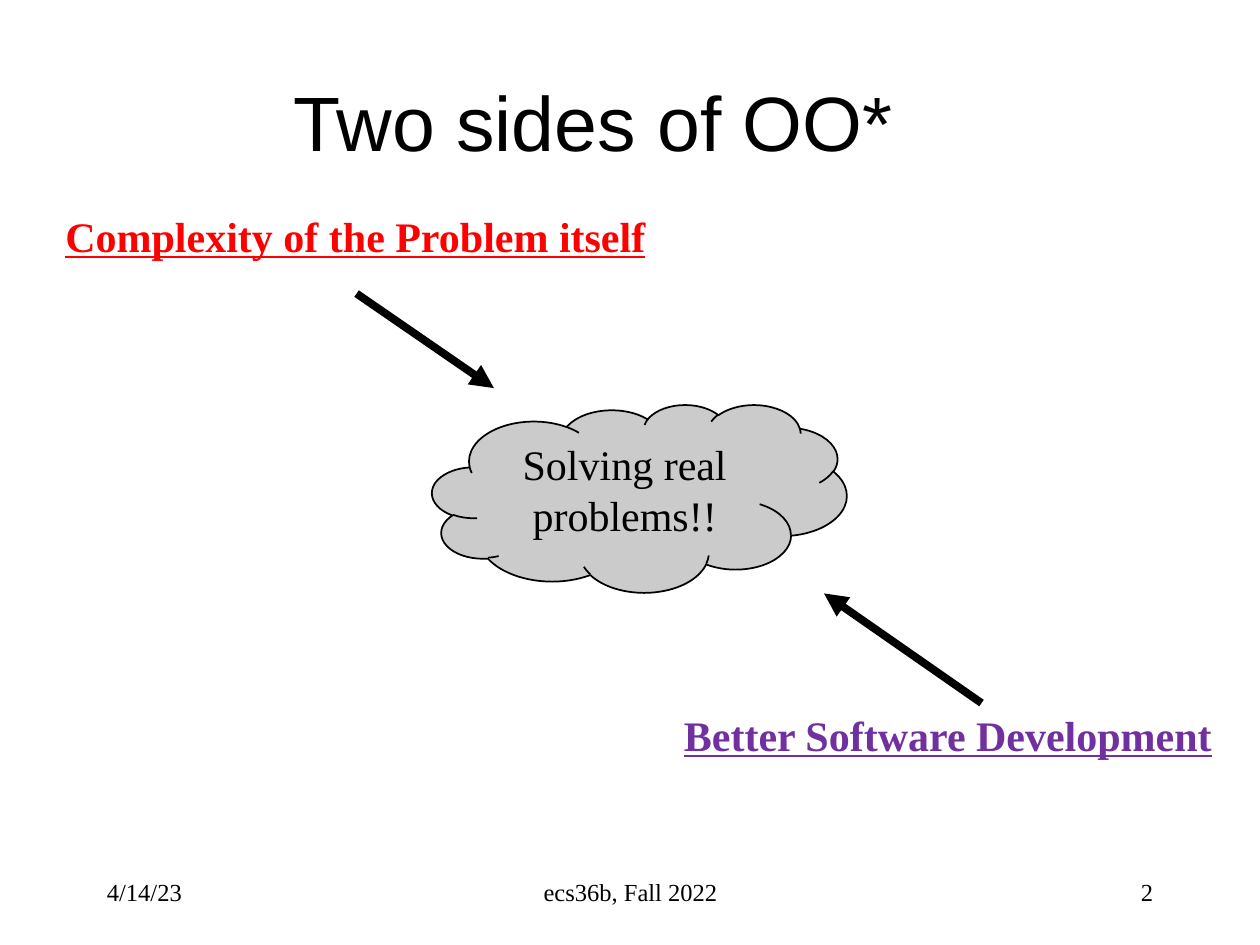
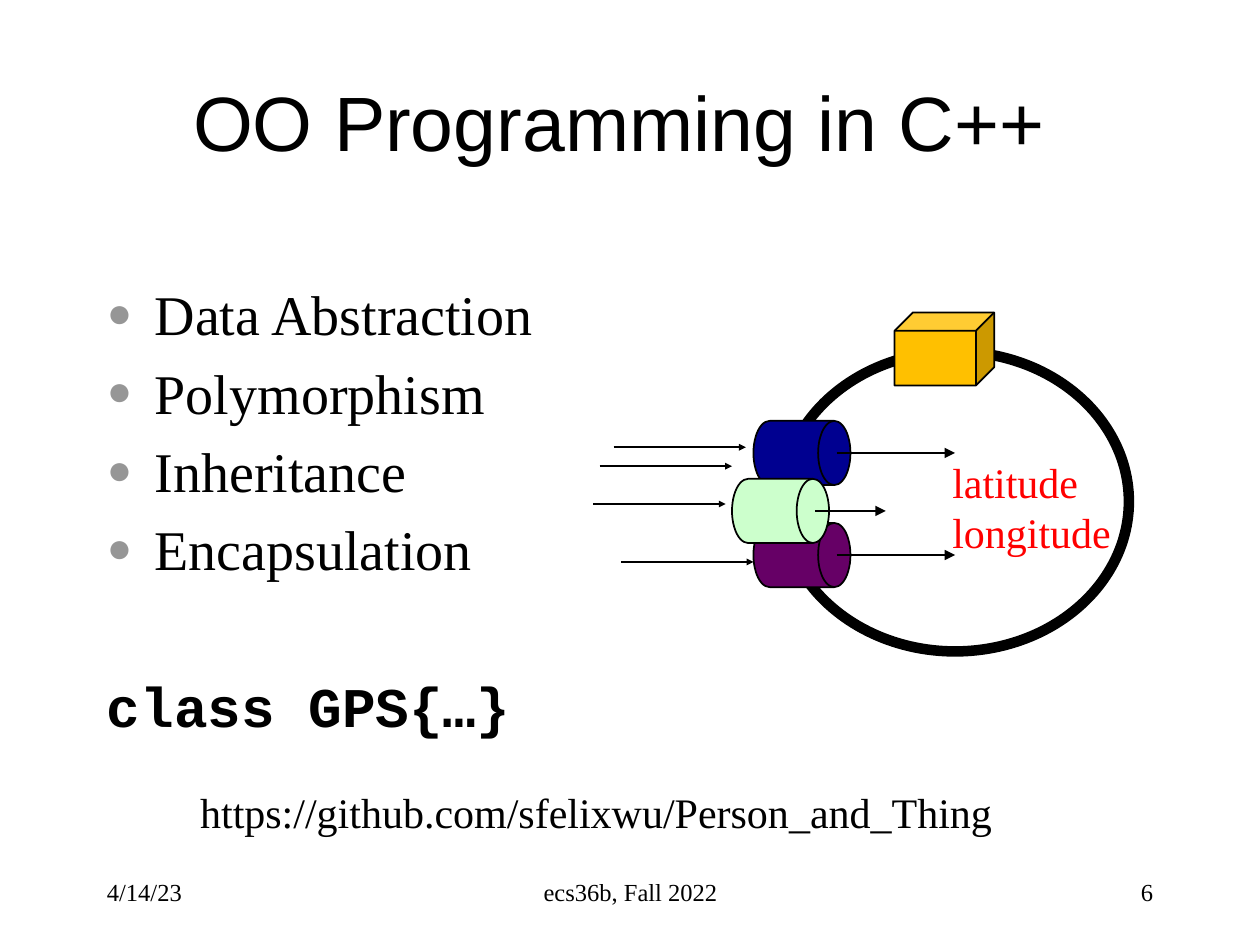
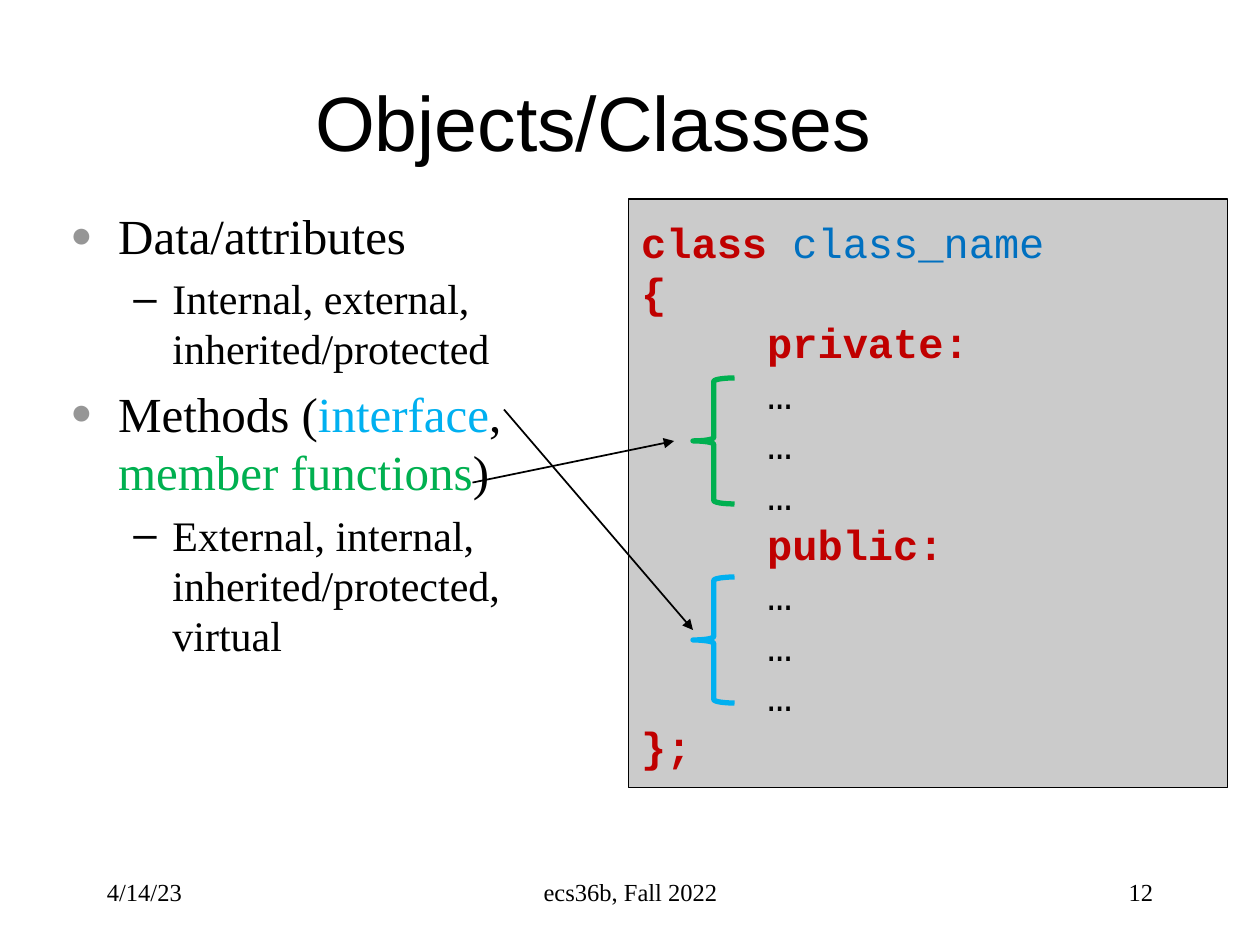
from dataclasses import dataclass

from lxml import etree
from pptx import Presentation
from pptx.dml.color import RGBColor
from pptx.enum.shapes import MSO_CONNECTOR, MSO_SHAPE
from pptx.enum.text import MSO_ANCHOR, PP_ALIGN
from pptx.oxml.ns import qn
from pptx.util import Inches, Pt

STRAIGHT = MSO_CONNECTOR.STRAIGHT
CLOUD, OVAL, DRUM = MSO_SHAPE.CLOUD, MSO_SHAPE.OVAL, MSO_SHAPE.FLOWCHART_DIRECT_ACCESS_STORAGE
CUBE, RECTANGLE, BRACE = MSO_SHAPE.CUBE, MSO_SHAPE.RECTANGLE, MSO_SHAPE.LEFT_BRACE
TOP, MIDDLE = MSO_ANCHOR.TOP, MSO_ANCHOR.MIDDLE
LEFT, CENTER, RIGHT = PP_ALIGN.LEFT, PP_ALIGN.CENTER, PP_ALIGN.RIGHT


@dataclass(frozen=True)
class Theme:
    title_font: str = "Arial"
    body_font: str = "Times New Roman"
    code_font: str = "Courier New"
    title_size: int = 44
    list_size: int = 32
    topic_size: int = 28
    text_size: int = 24
    footer_size: int = 14
    black: str = "000000"
    red: str = "FF0000"
    purple: str = "7030A0"
    panel: str = "CBCBCB"
    bullet: str = "969696"
    keyword: str = "C00000"
    class_name: str = "0070C0"
    public: str = "00B0F0"
    private: str = "00B050"
    cube: str = "FFC000"
    navy: str = "000090"
    plum: str = "660066"
    mint: str = "CCFFCC"


T = Theme()

# Content shared by all slides: text, left, width, alignment
DATE = ("4/14/23", 0.75, 2.08, LEFT)
COURSE = ("ecs36b, Fall 2022", 3.42, 3.17, CENTER)
NUMBER_PLACE = (7.17, 2.08, RIGHT)

# Slide 2: label, colour, place
SIDES = [
    ("Better Software Development", T.purple, (5.33, 5.58, 4.43, 0.51)),
    ("Complexity of the Problem itself", T.red, (0.42, 1.62, 4.85, 0.51)),
]
SIDE_ARROWS = [((2.83, 2.33), (3.92, 3.08)), ((7.79, 5.58), (6.54, 4.71))]

# Slide 6
PILLARS = ["Data Abstraction", "Polymorphism", "Inheritance", "Encapsulation"]
CLASS_LINE = "class GPS{…}"
COORDINATES = ["latitude", "longitude"]
REPOSITORY = "https://github.com/sfelixwu/Person_and_Thing"
METHOD_DRUMS = [  # left, top, colour, length of the arrow to the data
    (5.98, 3.34, T.navy, 0.94),
    (5.98, 4.15, T.plum, 0.94),
    (5.81, 3.8, T.mint, 0.56),
]
DRUM_WIDTH, DRUM_HEIGHT, DRUM_EXIT = 0.77, 0.51, 0.66
CALLS = [(4.87, 3.55), (4.76, 3.7), (4.71, 4), (4.93, 4.46)]
CALL_LENGTH = 1.05

# Slide 12: level and pieces of (text, colour)
MEMBERS = [
    (0, [("Data/attributes", T.black)]),
    (1, [("Internal, external, inherited/protected", T.black)]),
    (0, [("Methods (", T.black), ("interface", T.public), (", ", T.black),
         ("member functions", T.private), (")", T.black)]),
    (1, [("External, internal, inherited/protected, virtual", T.black)]),
]
SECTION_BODY = [[("\t…", T.black)]] * 3
CLASS_CODE = [
    [("class ", T.keyword), ("class_name", T.class_name)],
    [("{", T.keyword)],
    [("     ", T.black), ("private:", T.keyword)],
    *SECTION_BODY,
    [("     ", T.black), ("public:", T.keyword)],
    *SECTION_BODY,
    [("};", T.keyword)],
]
CODE_TAB = 1
BRACES = [(3, T.private), (4.58, T.public)]
MEMBER_ARROWS = [((4, 3.25), (5.5, 5)), ((3.75, 3.83), (5.35, 3.5))]

# Bullet by level: character, font, colour, size in percent, left margin, hang
BULLETS = [
    ("●", T.body_font, T.bullet, 75, 0.38, 0.38),
    ("–", T.title_font, T.black, 100, 0.81, 0.31),
]


def style(run, size, font=T.body_font, color=T.black, bold=False, underline=False):
    run.font.size, run.font.name = Pt(size), font
    run.font.bold, run.font.underline = bold, underline
    run.font.color.rgb = RGBColor.from_string(color)


def text_box(slide, place, lines, size, align=LEFT, anchor=TOP, wrap=True, **look):
    frame = slide.shapes.add_textbox(*map(Inches, place)).text_frame
    frame.word_wrap, frame.vertical_anchor = wrap, anchor
    frame.text = "\n".join(lines)
    for paragraph in frame.paragraphs:
        paragraph.alignment = align
        for run in paragraph.runs:
            style(run, size, **look)
    return frame


def add_pieces(paragraph, pieces, size, font=T.body_font, bold_color=None):
    for text, color in pieces:
        run = paragraph.add_run()
        run.text = text
        style(run, size, font, color, bold=color == bold_color)


def add_bullet(paragraph, level):
    char, font, color, percent, margin, hang = BULLETS[level]
    paragraph.level = level
    props = paragraph._p.get_or_add_pPr()
    props.set("marL", str(Inches(margin)))
    props.set("indent", str(-Inches(hang)))
    bullet_color = etree.SubElement(props, qn("a:buClr"))
    etree.SubElement(bullet_color, qn("a:srgbClr"), val=color)
    etree.SubElement(props, qn("a:buSzPct"), val=str(percent * 1000))
    etree.SubElement(props, qn("a:buFont"), typeface=font)
    etree.SubElement(props, qn("a:buChar"), char=char)


def add_tab_stop(paragraph, position):
    stops = etree.SubElement(paragraph._p.get_or_add_pPr(), qn("a:tabLst"))
    etree.SubElement(stops, qn("a:tab"), pos=str(Inches(position)), algn="l")


def add_shape(slide, kind, place, fill=None, line=T.black, width=1):
    shape = slide.shapes.add_shape(kind, *map(Inches, place))
    shape.shadow.inherit = False
    if fill:
        shape.fill.solid()
        shape.fill.fore_color.rgb = RGBColor.from_string(fill)
    else:
        shape.fill.background()
    shape.line.color.rgb = RGBColor.from_string(line)
    shape.line.width = Pt(width)
    return shape


def add_arrow(slide, start, end, width=1, head="med"):
    arrow = slide.shapes.add_connector(STRAIGHT, *map(Inches, (*start, *end)))
    arrow.line.color.rgb = RGBColor.from_string(T.black)
    arrow.line.width = Pt(width)
    etree.SubElement(arrow.line._get_or_add_ln(), qn("a:tailEnd"),
                     type="triangle", w=head, len=head)
    etree.SubElement(arrow._element.spPr, qn("a:effectLst"))


def new_slide(deck, title, number, title_width=6.92):
    slide = deck.slides.add_slide(deck.slide_layouts[6])
    text_box(slide, (1.25, 0.33, title_width, 1.25), [title], T.title_size,
             CENTER, MIDDLE, font=T.title_font)
    for text, left, width, align in (DATE, COURSE, (str(number), *NUMBER_PLACE)):
        text_box(slide, (left, 6.83, width, 0.5), [text], T.footer_size, align, MIDDLE)
    return slide


def two_sides(deck):
    slide = new_slide(deck, "Two sides of OO*", 2)
    for label, color, place in SIDES:
        text_box(slide, place, [label], T.text_size, wrap=False,
                 color=color, bold=True, underline=True)
    for start, end in SIDE_ARROWS:
        add_arrow(slide, start, end, 4.5)
    goal = add_shape(slide, CLOUD, (3.43, 3.21, 3.29, 1.49), T.panel).text_frame
    goal.text = "Solving real problems!!"
    goal.word_wrap, goal.vertical_anchor = True, TOP
    goal.paragraphs[0].alignment = CENTER
    style(goal.paragraphs[0].runs[0], T.text_size)


def oo_programming(deck):
    slide = new_slide(deck, "OO Programming in C++", 6, 7.33)

    # Pillars, then the class line set apart below them
    pillars = text_box(slide, (0.75, 2.17, 8.5, 4.5), PILLARS + [CLASS_LINE], T.list_size)
    *listed, class_line = pillars.paragraphs
    for index, paragraph in enumerate(listed):
        add_bullet(paragraph, 0)
        if index:
            paragraph.space_before = Pt(0.2 * T.list_size)
    class_line.space_before = Pt(1.6 * T.list_size)
    style(class_line.runs[0], T.list_size, T.code_font, bold=True)

    # Object with its methods on the boundary
    add_shape(slide, OVAL, (6.2, 2.79, 2.76, 2.38), width=6)
    for left, top, color, _ in METHOD_DRUMS:
        add_shape(slide, DRUM, (left, top, DRUM_WIDTH, DRUM_HEIGHT), color)
    for x, y in CALLS:
        add_arrow(slide, (x, y), (x + CALL_LENGTH, y), head="sm")
    for left, top, _, length in METHOD_DRUMS:
        x, y = left + DRUM_EXIT, top + DRUM_HEIGHT / 2
        add_arrow(slide, (x, y), (x + length, y))
    text_box(slide, (7.46, 3.57, 1.47, 0.91), COORDINATES, T.text_size,
             wrap=False, color=T.red)
    add_shape(slide, CUBE, (7.1, 2.48, 0.79, 0.58), T.cube)
    text_box(slide, (1.49, 6.19, 6.54, 0.5), [REPOSITORY], T.text_size, wrap=False)


def objects_classes(deck):
    slide = new_slide(deck, "Objects/Classes", 12)

    # Kinds of members
    members = text_box(slide, (0.46, 1.58, 4.38, 4.5), [""] * len(MEMBERS), T.topic_size)
    for index, (level, pieces) in enumerate(MEMBERS):
        paragraph = members.paragraphs[index]
        size = T.text_size if level else T.topic_size
        add_bullet(paragraph, level)
        if index:
            paragraph.space_before = Pt(0.2 * size)
        add_pieces(paragraph, pieces, size)

    # Class skeleton
    code = add_shape(slide, RECTANGLE, (4.99, 1.58, 4.75, 4.67), T.panel, width=0.75).text_frame
    code.word_wrap, code.vertical_anchor = True, MIDDLE
    code.text = "\n" * (len(CLASS_CODE) - 1)
    for paragraph, pieces in zip(code.paragraphs, CLASS_CODE):
        paragraph.alignment = LEFT
        add_tab_stop(paragraph, CODE_TAB)
        add_pieces(paragraph, pieces, T.text_size, T.code_font, T.keyword)

    # Braces and the arrows from the member names
    for top, color in BRACES:
        add_shape(slide, BRACE, (5.5, top, 0.33, 1), T.panel, color, 3)
    for start, end in MEMBER_ARROWS:
        add_arrow(slide, start, end)


def main():
    deck = Presentation()
    deck.slide_width, deck.slide_height = Inches(10), Inches(7.5)
    two_sides(deck)
    oo_programming(deck)
    objects_classes(deck)
    deck.save("out.pptx")


if __name__ == "__main__":
    main()
